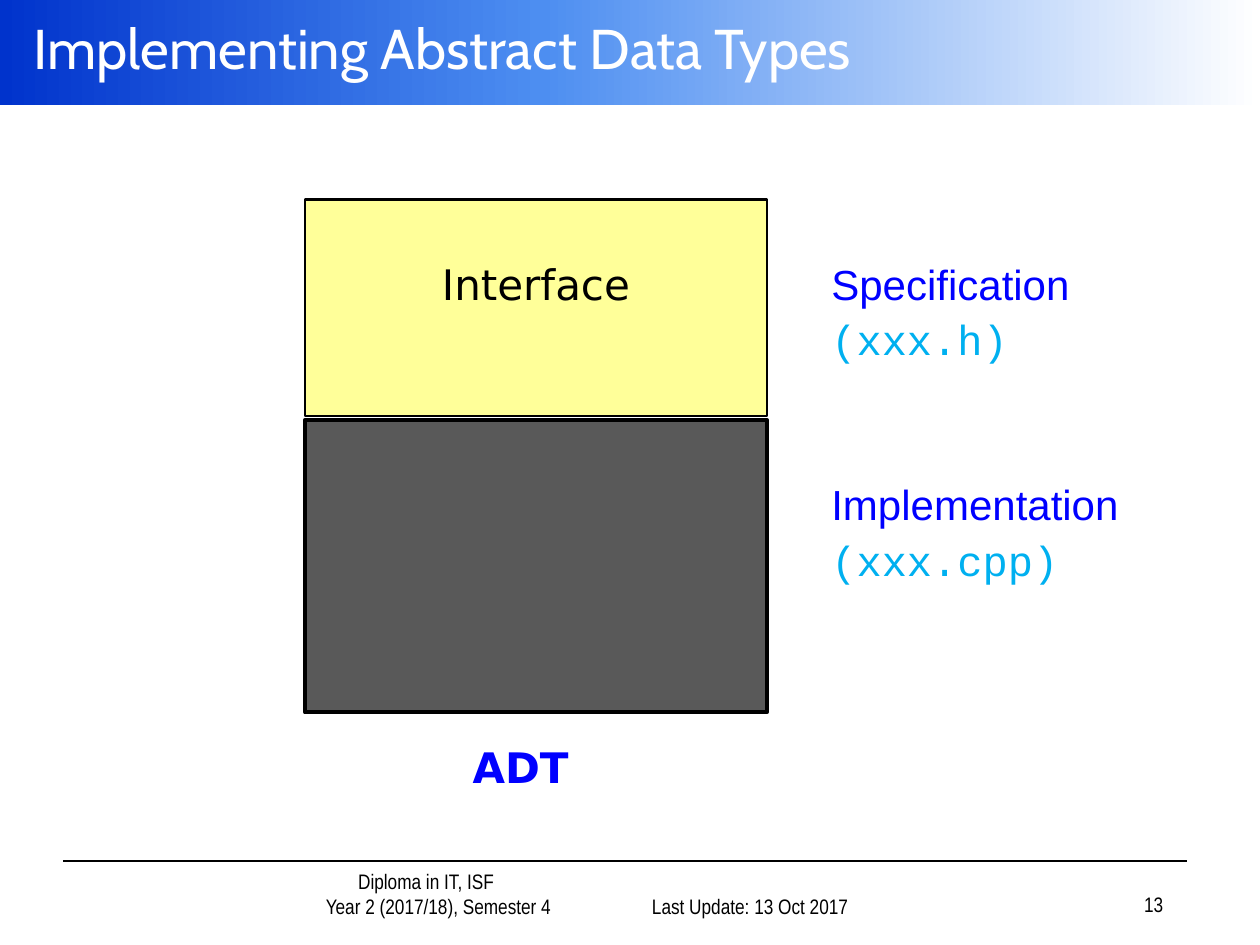
from lxml.etree import SubElement
from copy import deepcopy
from pptx import Presentation
from pptx.dml.color import RGBColor
from pptx.enum.shapes import MSO_CONNECTOR, MSO_SHAPE
from pptx.enum.text import MSO_ANCHOR, PP_ALIGN
from pptx.oxml.ns import qn
from pptx.util import Cm, Pt

BLACK = RGBColor(0x00, 0x00, 0x00)
WHITE = RGBColor(0xFF, 0xFF, 0xFF)
BLUE = RGBColor(0x00, 0x00, 0xFF)
SKY = RGBColor(0x00, 0xB0, 0xF0)
YELLOW = RGBColor(0xFF, 0xFF, 0x99)
GREY = RGBColor(0x59, 0x59, 0x59)
BAND_DARK = RGBColor(0x00, 0x33, 0xCC)
BAND_MID = RGBColor(0x4D, 0x8E, 0xF1)


def style(para, size, name, color, align=PP_ALIGN.LEFT, before=0, bold=False):
    para.alignment = align
    para.space_before = Pt(before)
    font = para.font
    font.size, font.name, font.bold = Pt(size), name, bold
    font.color.rgb = color


def add_text(page, place, lines, anchor=MSO_ANCHOR.TOP, **common):
    """Add a text box; each line is (text, style values of its own)."""
    box = page.shapes.add_textbox(*map(Cm, place))
    frame = box.text_frame
    frame.word_wrap = True
    frame.vertical_anchor = anchor
    for index, (text, own) in enumerate(lines):
        para = frame.paragraphs[0] if index == 0 else frame.add_paragraph()
        para.text = text
        style(para, **{**common, **own})
    return box


def add_block(page, place, color, line_width):
    block = page.shapes.add_shape(MSO_SHAPE.RECTANGLE, *map(Cm, place))
    block.shadow.inherit = False
    block.fill.solid()
    block.fill.fore_color.rgb = color
    block.line.color.rgb = BLACK
    block.line.width = Pt(line_width)
    return block


def add_title_band(page):
    band = page.shapes.add_shape(MSO_SHAPE.RECTANGLE, 0, 0, Cm(25.4), Cm(2.12))
    band.shadow.inherit = False
    band.line.fill.background()
    band.fill.gradient()
    band.fill.gradient_angle = 0
    # The default gradient has two stops; add one in the middle
    stop_list = band.fill._fill._gradFill.find(qn("a:gsLst"))
    stop_list.insert(1, deepcopy(stop_list[0]))
    stops = zip(band.fill.gradient_stops, (0, 0.43, 1), (BAND_DARK, BAND_MID, WHITE))
    for stop, position, color in stops:
        stop.position = position
        stop.color.rgb = color


def add_rule(page, left, right, height):
    rule = page.shapes.add_connector(
        MSO_CONNECTOR.STRAIGHT, Cm(left), Cm(height), Cm(right), Cm(height))
    rule.line.color.rgb = BLACK
    rule.line.width = Pt(1)
    SubElement(rule._element.spPr, qn("a:effectLst"))


def add_footer(page):
    add_rule(page, 1.27, 23.93, 17.35)
    small = dict(anchor=MSO_ANCHOR.BOTTOM, size=12, name="Arial Narrow", color=BLACK)
    course = add_text(page, (4.27, 17.58, 7.37, 1.07),
                      [("Diploma in IT, ISF", {}), ("Year 2 (2017/18), Semester 4", {})],
                      align=PP_ALIGN.CENTER, **small)
    for para, indent in zip(course.text_frame.paragraphs, (1.27, 1.77)):
        para._p.get_or_add_pPr().set("marL", str(Cm(indent)))
    for left, top, text in ((12.07, 17.58, "Last Update: 13 Oct 2017"),
                            (18.42, 17.53, "13")):
        add_text(page, (left, top, 5.28, 1.07), [(text, {})],
                 align=PP_ALIGN.RIGHT, **small)


def add_part_label(page, top, width, part, file_name):
    add_text(page, (16.51, top, width, 2.82),
             [(part, dict(name="Arial", color=BLUE)),
              (file_name, dict(name="Courier New", color=SKY))],
             size=24, before=3)


def main():
    deck = Presentation()
    deck.slide_width, deck.slide_height = Cm(25.4), Cm(19.05)
    page = deck.slides.add_slide(deck.slide_layouts[6])

    # Title and footer
    add_footer(page)
    add_title_band(page)
    add_text(page, (0.43, 0, 24.97, 1.9), [("Implementing Abstract Data Types", {})],
             anchor=MSO_ANCHOR.MIDDLE, size=32, name="Cabin", color=WHITE)

    # The two halves of the data type
    interface = add_block(page, (6.15, 4.02, 9.31, 4.37), YELLOW, 1.5)
    frame = interface.text_frame
    frame.vertical_anchor = MSO_ANCHOR.TOP
    frame.margin_top = Cm(1.2)
    frame.text = "Interface"
    style(frame.paragraphs[0], 24, "DejaVu Sans", BLACK, PP_ALIGN.CENTER)
    add_block(page, (6.15, 8.47, 9.31, 5.89), GREY, 2.5)

    # Labels
    add_text(page, (7.42, 14.82, 6.15, 1.27), [("ADT", {})], size=24, before=3,
             name="DejaVu Sans", color=BLUE, align=PP_ALIGN.CENTER, bold=True)
    add_part_label(page, 5.08, 6.15, "Specification", "(xxx.h)")
    add_part_label(page, 9.53, 6.99, "Implementation", "(xxx.cpp)")

    deck.save("out.pptx")


if __name__ == "__main__":
    main()
